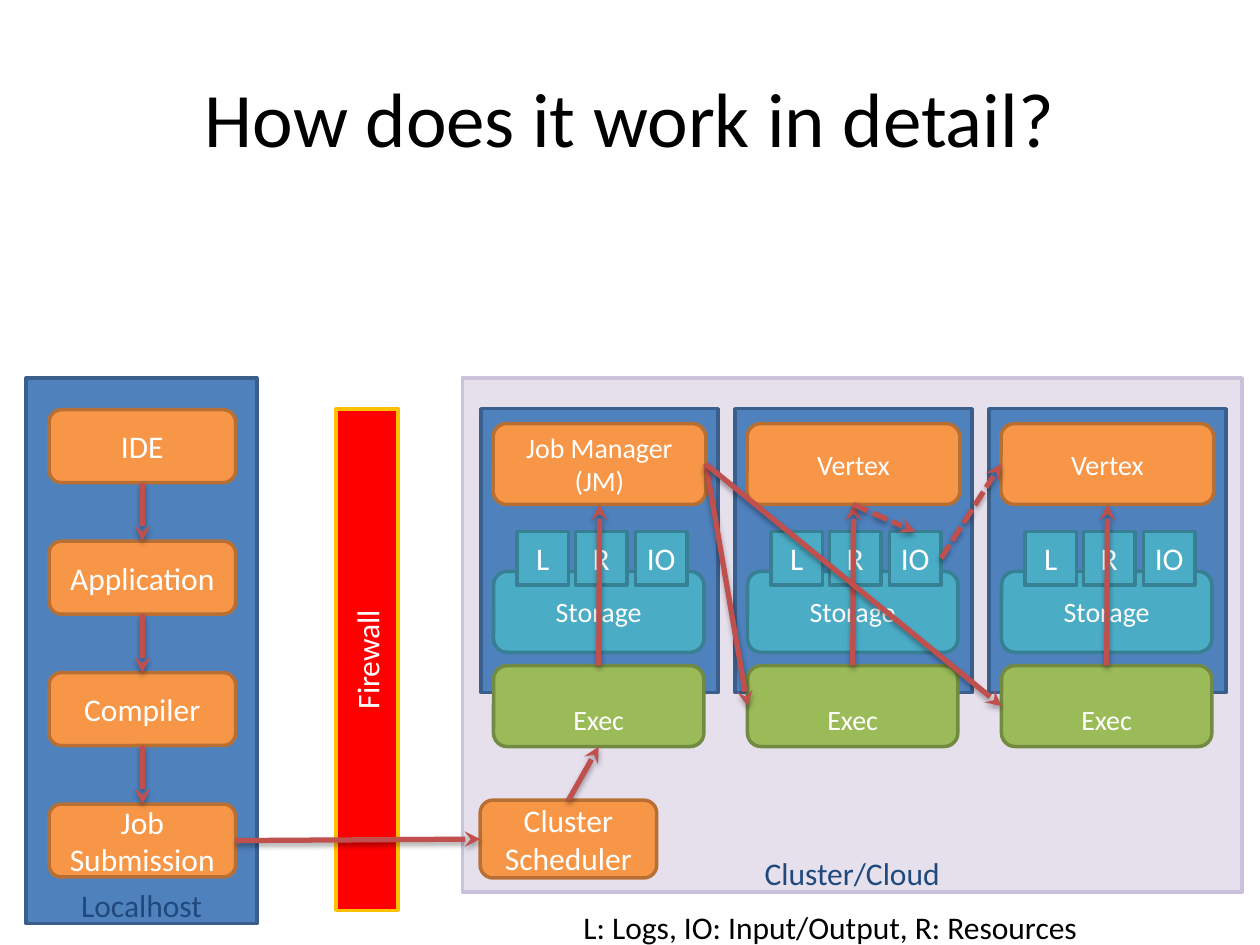
import typing

import lxml.etree
import pptx
import pptx.dml.color
import pptx.enum.dml
import pptx.enum.shapes
import pptx.enum.text
import pptx.oxml.ns
import pptx.util

Cm = pptx.util.Cm
Pt = pptx.util.Pt
RGB = pptx.dml.color.RGBColor.from_string
ALIGN = pptx.enum.text.PP_ALIGN
ANCHOR = pptx.enum.text.MSO_ANCHOR
SHAPE = pptx.enum.shapes.MSO_SHAPE
TOP, LEFT, BOTTOM, RIGHT = range(4)


class Theme:
    """Colours as fill and outline pairs, and type sizes in points."""

    font = "Calibri"
    title_size, body_size, small_size = 44, 18, 16
    dark, light, label = "000000", "FFFFFF", "1F497D"
    arrow = "C0504D"
    machine = ("4F81BD", "3A5F8C")
    cluster = ("E6E0EC", "CCC1DA")
    process = ("F79646", "B76F34")
    storage = ("4BACC6", "377F92")
    executor = ("9BBB59", "738A42")
    firewall = ("FF0000", "FFC000")


class Box(typing.NamedTuple):
    """A rectangle in centimetres."""

    left: float
    top: float
    width: float
    height: float

    def inside(self, left, top, width, height):
        """Return a box placed relative to this one."""
        return Box(self.left + left, self.top + top, width, height)

    def lengths(self):
        """Return the four values as lengths."""
        return [Cm(value) for value in self]


def write_text(shape, text, size=Theme.body_size, color=Theme.light,
               align=ALIGN.CENTER, anchor=ANCHOR.MIDDLE, wrap=True, bottom=0.13):
    """Write one paragraph per line of text into the shape."""
    frame = shape.text_frame
    frame.text = text
    frame.word_wrap = wrap
    frame.vertical_anchor = anchor
    frame.margin_bottom = Cm(bottom)
    for paragraph in frame.paragraphs:
        paragraph.alignment = align
        paragraph.font.name = Theme.font
        paragraph.font.size = Pt(size)
        paragraph.font.color.rgb = RGB(color)


def add_block(slide, box, colors, text="", kind=SHAPE.ROUNDED_RECTANGLE, **text_format):
    """Add a filled and outlined shape with optional text."""
    shape = slide.shapes.add_shape(kind, *box.lengths())
    shape.shadow.inherit = False
    fill, outline = colors
    shape.fill.solid()
    shape.fill.fore_color.rgb = RGB(fill)
    shape.line.color.rgb = RGB(outline)
    shape.line.width = Pt(2)
    if text:
        write_text(shape, text, **text_format)
    return shape


def add_arrow(slide, source, source_site, target, target_site, dashed=False):
    """Connect two shapes with a shadowed arrow that points at the target."""
    connector = slide.shapes.add_connector(
        pptx.enum.shapes.MSO_CONNECTOR.STRAIGHT, 0, 0, 0, 0)
    connector.begin_connect(source, source_site)
    connector.end_connect(target, target_site)
    connector.line.color.rgb = RGB(Theme.arrow)
    connector.line.width = Pt(3)
    if dashed:
        connector.line.dash_style = pptx.enum.dml.MSO_LINE.SQUARE_DOT
    qn = pptx.oxml.ns.qn
    properties = connector.element.spPr
    lxml.etree.SubElement(properties.find(qn("a:ln")), qn("a:tailEnd"), type="stealth")
    effects = lxml.etree.SubElement(properties, qn("a:effectLst"))
    shadow = lxml.etree.SubElement(
        effects, qn("a:outerShdw"), blurRad=str(Pt(3.1)), dist=str(Pt(1.8)),
        dir="5400000", rotWithShape="0")
    shade = lxml.etree.SubElement(shadow, qn("a:srgbClr"), val=Theme.dark)
    lxml.etree.SubElement(shade, qn("a:alpha"), val="35000")


def add_title(slide, box, text):
    """Place and format the title placeholder."""
    title = slide.shapes.title
    title.left, title.top, title.width, title.height = box.lengths()
    write_text(title, text, size=Theme.title_size, color=Theme.dark)


def add_firewall(slide, box):
    """Add the upright firewall bar, with its text turned to read upwards."""
    shift = (box.height - box.width) / 2
    flat = box.inside(-shift, shift, box.height, box.width)
    bar = add_block(slide, flat, Theme.firewall, "Firewall", SHAPE.RECTANGLE)
    bar.rotation = 270


def add_localhost(slide, box):
    """Add the local machine and its chain of steps, and return the last step."""
    panel = add_block(slide, box, Theme.machine, "Localhost", SHAPE.RECTANGLE,
                      color=Theme.label, anchor=ANCHOR.BOTTOM, bottom=0)
    steps = [
        add_block(slide, box.inside(0.46, 0.64 + 2.65 * row, 3.76, 1.47),
                  Theme.process, name)
        for row, name in enumerate(["IDE", "Application", "Compiler", "Job Submission"])
    ]
    for upper, lower in zip(steps, steps[1:]):
        add_arrow(slide, upper, BOTTOM, lower, TOP)
    return steps[-1]


def add_node(slide, box, name):
    """Add one cluster node, and return its worker, executor and IO tile."""
    add_block(slide, box, Theme.machine, kind=SHAPE.RECTANGLE)
    worker = add_block(slide, box.inside(0.24, 0.3, 4.29, 1.63), Theme.process, name,
                       size=Theme.small_size)
    executor = add_block(slide, box.inside(0.25, 5.18, 4.24, 1.63), Theme.executor,
                         "Exec", size=Theme.small_size, anchor=ANCHOR.BOTTOM)
    add_block(slide, box.inside(0.25, 3.28, 4.24, 1.63), Theme.storage, "Storage",
              size=Theme.small_size)
    for offset, letters in [(0.72, "L"), (1.9, "R"), (3.11, "IO")]:
        tile = add_block(slide, box.inside(offset, 2.48, 1.04, 1.07), Theme.storage,
                         letters, SHAPE.RECTANGLE, wrap=False)
    return worker, executor, tile


def add_cluster(slide, box):
    """Add the cluster with its nodes and arrows, and return the scheduler."""
    add_block(slide, box, Theme.cluster, "Cluster/Cloud", SHAPE.RECTANGLE,
              color=Theme.label, anchor=ANCHOR.BOTTOM, bottom=0)
    scheduler = add_block(slide, box.inside(0.36, 8.51, 3.56, 1.57), Theme.process,
                          "Cluster Scheduler")
    nodes = [
        add_node(slide, box.inside(0.38 + 5.12 * column, 0.62, 4.78, 5.72), name)
        for column, name in enumerate(["Job Manager\n(JM)", "Vertex", "Vertex"])
    ]
    for worker, executor, tile in nodes:
        add_arrow(slide, executor, TOP, worker, BOTTOM)
    (manager, first_executor, _), (vertex, _, output), (next_vertex, _, _) = nodes
    for _, executor, _ in nodes[1:]:
        add_arrow(slide, manager, RIGHT, executor, LEFT)
    add_arrow(slide, scheduler, TOP, first_executor, BOTTOM)
    add_arrow(slide, vertex, BOTTOM, output, TOP, dashed=True)
    add_arrow(slide, output, RIGHT, next_vertex, LEFT, dashed=True)
    return scheduler


def add_legend(slide, box):
    """Add the key to the tile letters."""
    legend = slide.shapes.add_textbox(*box.lengths())
    write_text(legend, "L: Logs, IO: Input/Output, R: Resources", color=Theme.dark,
               align=ALIGN.LEFT, anchor=ANCHOR.TOP)


def main():
    """Build the slide and save the presentation."""
    presentation = pptx.Presentation()
    presentation.slide_width, presentation.slide_height = Cm(25.4), Cm(19.05)
    slide = presentation.slides.add_slide(presentation.slide_layouts[5])
    add_title(slide, Box(1.27, 0.76, 22.86, 3.18), "How does it work in detail?")
    add_firewall(slide, Box(6.77, 8.24, 1.25, 10.11))
    scheduler = add_cluster(slide, Box(9.32, 7.62, 15.72, 10.36))
    submission = add_localhost(slide, Box(0.53, 7.62, 4.65, 11))
    add_arrow(slide, submission, RIGHT, scheduler, LEFT)
    add_legend(slide, Box(11.51, 18.19, 11.35, 1.02))
    presentation.save("out.pptx")


if __name__ == "__main__":
    main()
